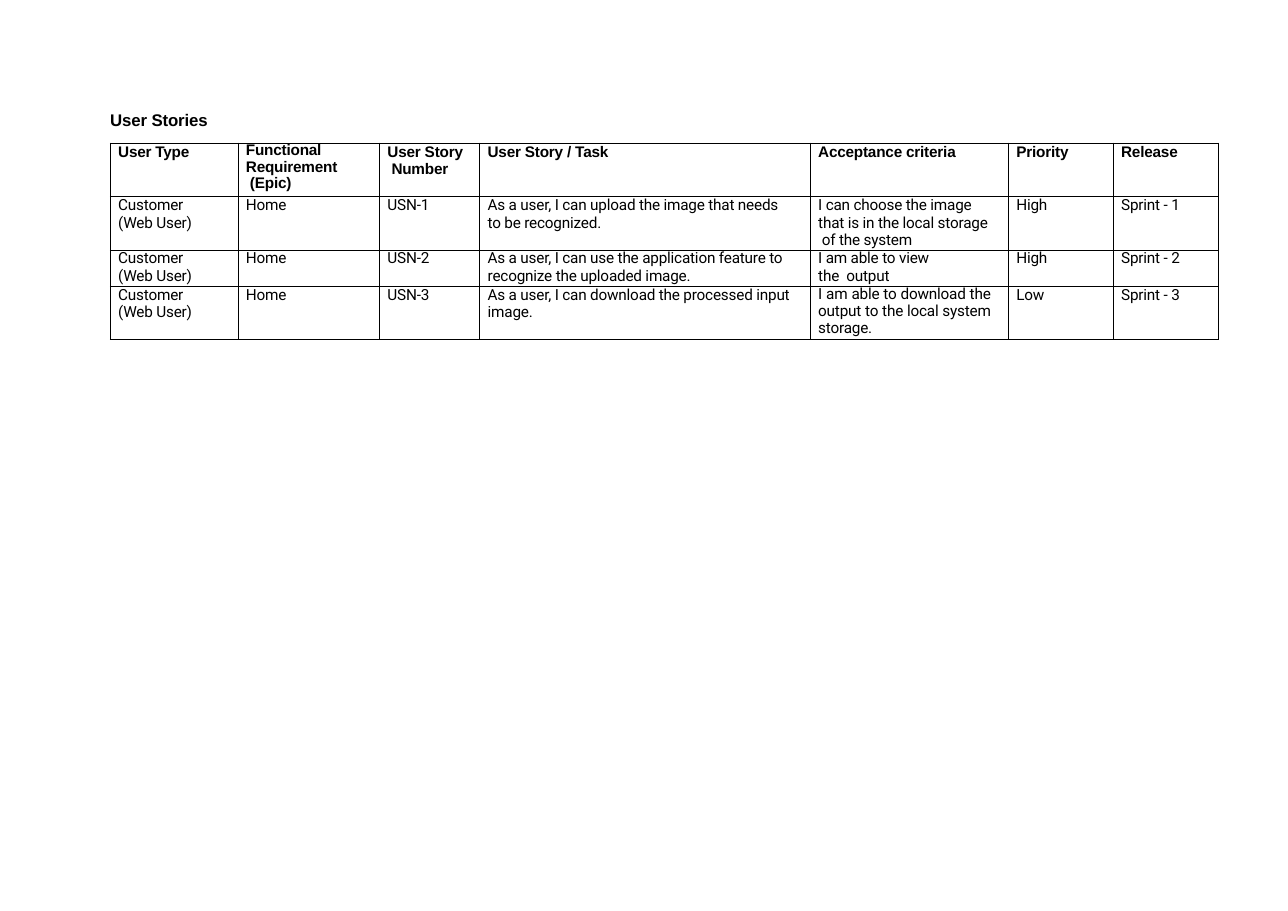
from pptx import Presentation
from pptx.dml.color import RGBColor
from pptx.enum.text import PP_ALIGN
from pptx.oxml import parse_xml
from pptx.oxml.ns import nsdecls
from pptx.util import Pt

LEFT, JUSTIFY = PP_ALIGN.LEFT, PP_ALIGN.JUSTIFY
COLORS = {"ink": "000000", "paper": "FFFFFF"}
HEADING_FONT, BODY_FONT = "Arial", "Roboto"

# Content: "\v" marks a line break
HEADING = "User Stories"
COLUMNS = [  # title, width
    ("User Type", 83.5),
    ("Functional\vRequirement\v (Epic)", 92.5),
    ("User Story\v Number", 65.5),
    ("User Story / Task", 216),
    ("Acceptance criteria", 129.5),
    ("Priority", 68.5),
    ("Release", 69),
]
USER_TYPE, EPIC = "Customer\v(Web User)", "Home"
STORIES = [  # task, acceptance criteria, priority
    ("As a user, I can upload the image that needs\vto be recognized.",
     "I can choose the image\vthat is in the local storage\v of the system", "High"),
    ("As a user, I can use the application feature to\vrecognize the uploaded image.",
     "I am able to view\vthe  output", "High"),
    ("As a user, I can download the processed input\vimage.",
     "I am able to download the  output to the local system  storage.", "Low"),
]
ROW_HEIGHTS = [35, 35, 23.75, 34.75]
TABLE_LEFT, TABLE_TOP = 72, 93.5
INDENT, LINE, TIGHT = 5.25, Pt(11.5), 0.95
TIGHT_CELLS = {(0, 1), (3, 4)}
JUSTIFIED_CELL = (3, 4)


def write(frame, text, font=BODY_FONT, size=10, bold=False, align=LEFT, spacing=LINE):
    paragraph = frame.paragraphs[0]
    paragraph.text = text
    paragraph.alignment = align
    paragraph.line_spacing = spacing
    for run in paragraph.runs:
        run.font.name, run.font.size, run.font.bold = font, Pt(size), bold
        run.font.color.rgb = RGBColor.from_string(COLORS["ink"])
        run._r.get_or_add_rPr().set("spc", "-10")


def set_borders(cell, width=0.5):
    properties = cell._tc.get_or_add_tcPr()
    for position, side in enumerate(("lnL", "lnR", "lnT", "lnB")):
        properties.insert(position, parse_xml(
            f'<a:{side} {nsdecls("a")} w="{Pt(width)}"><a:solidFill>'
            f'<a:srgbClr val="{COLORS["ink"]}"/></a:solidFill></a:{side}>'))


prs = Presentation()
prs.slide_width, prs.slide_height = Pt(841.68), Pt(595.44)
slide = prs.slides.add_slide(prs.slide_layouts[6])

# Heading
heading = slide.shapes.add_textbox(Pt(71.25), Pt(70), Pt(67), Pt(15)).text_frame
heading.margin_left, heading.margin_top = Pt(0.75), Pt(1.75)
heading.margin_right = heading.margin_bottom = 0
heading.word_wrap = False
write(heading, HEADING, font=HEADING_FONT, size=11, bold=True, spacing=1.0)

# Story table
rows = [[title for title, _ in COLUMNS]]
for number, (task, criteria, priority) in enumerate(STORIES, 1):
    rows.append([USER_TYPE, EPIC, f"USN-{number}", task, criteria, priority,
                 f"Sprint - {number}"])
widths = [width for _, width in COLUMNS]
stories = slide.shapes.add_table(
    len(rows), len(COLUMNS), Pt(TABLE_LEFT), Pt(TABLE_TOP),
    Pt(sum(widths)), Pt(sum(ROW_HEIGHTS))).table
for column, width in zip(stories.columns, widths):
    column.width = Pt(width)

for r, (texts, height) in enumerate(zip(rows, ROW_HEIGHTS)):
    stories.rows[r].height = Pt(height)
    for c, text in enumerate(texts):
        cell = stories.cell(r, c)
        cell.margin_left = Pt(INDENT)
        cell.margin_right = Pt(9 if (r, c) == JUSTIFIED_CELL else 0)
        cell.margin_top = cell.margin_bottom = 0
        cell.fill.solid()
        cell.fill.fore_color.rgb = RGBColor.from_string(COLORS["paper"])
        set_borders(cell)
        write(cell.text_frame, text,
              font=HEADING_FONT if r == 0 else BODY_FONT, bold=r == 0,
              align=JUSTIFY if (r, c) == JUSTIFIED_CELL else LEFT,
              spacing=TIGHT if (r, c) in TIGHT_CELLS else LINE)

prs.save("out.pptx")
